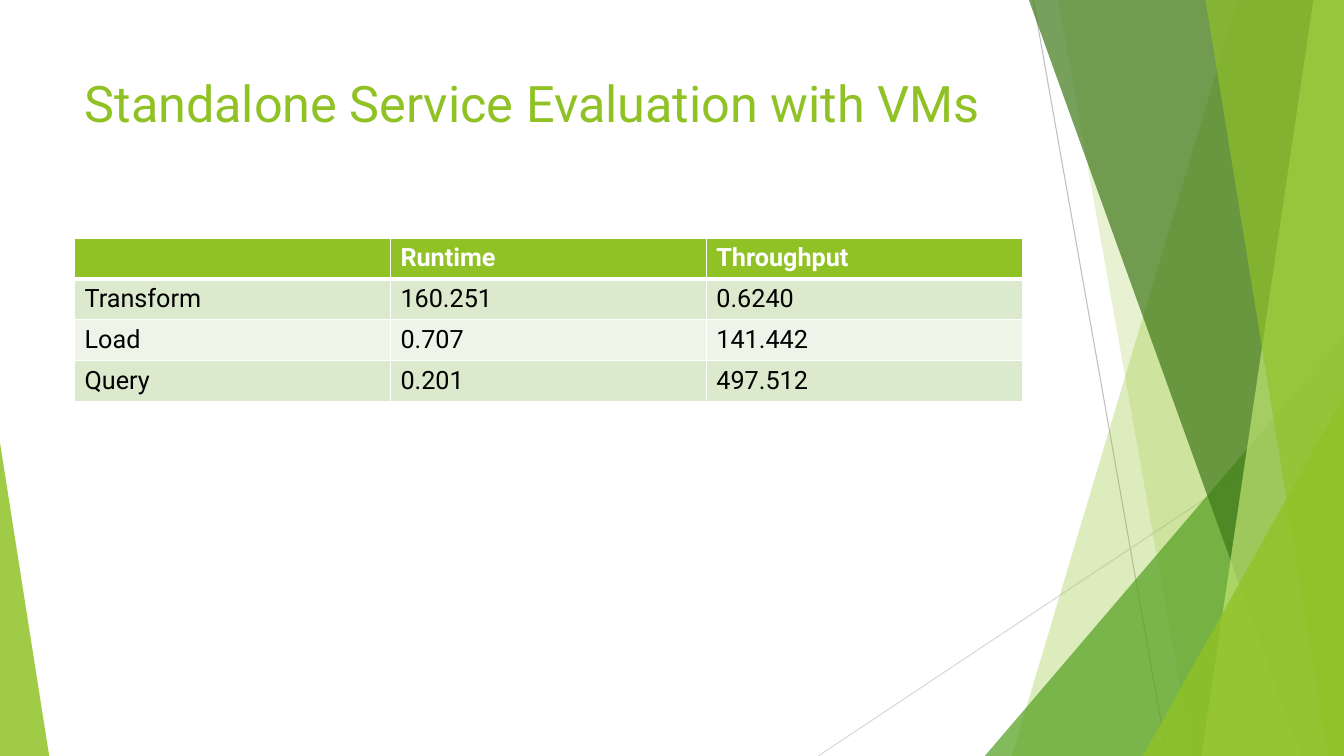
from lxml import etree
from pptx import Presentation
from pptx.dml.color import RGBColor
from pptx.enum.shapes import MSO_CONNECTOR, MSO_SHAPE
from pptx.enum.text import MSO_ANCHOR, PP_ALIGN
from pptx.oxml.ns import qn
from pptx.util import Cm, Pt

LINE = MSO_CONNECTOR.STRAIGHT
WEDGE = MSO_SHAPE.ISOSCELES_TRIANGLE
TOP = MSO_ANCHOR.TOP
LEFT = PP_ALIGN.LEFT
FONT = "Roboto"
WIDE, HIGH = 33.87, 19.05
HUES = {
    "lime": "90C226",
    "green": "54A021",
    "dark": "3F7819",
    "pale": "C0E474",
    "gray": "BFBFBF",
    "mist": "D9D9D9",
    "odd": "DBE9CD",
    "even": "EEF4E8",
    "white": "FFFFFF",
    "black": "000000",
}
DATA = [
    ["", "Runtime", "Throughput"],
    ["Transform", "160.251", "0.6240"],
    ["Load", "0.707", "141.442"],
    ["Query", "0.201", "497.512"],
]


def tint(name):
    """Return the named colour."""
    return RGBColor.from_string(HUES[name])


def paint(shape, hue, alpha):
    """Fill a shape with a see-through colour and no outline."""
    shape.shadow.inherit = False
    shape.line.fill.background()
    shape.fill.solid()
    shape.fill.fore_color.rgb = tint(hue)
    color = shape.fill._xPr.find(qn("a:solidFill"))[0]
    etree.SubElement(color, qn("a:alpha"), val=str(alpha * 1000))


def add_line(slide, start, end, hue):
    """Draw a thin straight line."""
    line = slide.shapes.add_connector(LINE, *map(Cm, start + end))
    line.line.color.rgb = tint(hue)
    line.line.width = Pt(0.75)
    etree.SubElement(line._element.spPr, qn("a:effectLst"))


def add_band(slide, top, base, hue, alpha):
    """Draw a full-height band from a slanted edge to the right side."""
    pen = slide.shapes.build_freeform(Cm(top), 0)
    rest = [(WIDE, 0), (WIDE, HIGH), (base, HIGH)]
    pen.add_line_segments([(Cm(x), Cm(y)) for x, y in rest], close=True)
    paint(pen.convert_to_shape(), hue, alpha)


def add_wedge(slide, left, top, width, apex, hue, alpha):
    """Draw a right triangle that stands on the bottom edge."""
    box = map(Cm, (left, top, width, HIGH - top))
    shape = slide.shapes.add_shape(WEDGE, *box)
    shape.adjustments[0] = apex
    paint(shape, hue, alpha)


def add_run(para, text, size, hue, bold=False):
    """Add one formatted run."""
    run = para.add_run()
    run.text = text
    font = run.font
    font.name, font.size, font.bold = FONT, Pt(size), bold
    font.color.rgb = tint(hue)


def set_title(slide, text):
    """Place and fill the title."""
    title = slide.shapes.title
    title.left, title.top = Cm(1.88), Cm(1.7)
    title.width, title.height = Cm(23.88), Cm(3.66)
    frame = title.text_frame
    frame.vertical_anchor = TOP
    para = frame.paragraphs[0]
    para.alignment = LEFT
    add_run(para, text, 36, "lime")


def set_edges(cell, row):
    """Give a cell white borders, thick below the header."""
    props = cell._tc.get_or_add_tcPr()
    sizes = {"L": 1, "R": 1, "T": 3 if row == 1 else 1, "B": 3 if row == 0 else 1}
    for spot, (side, size) in enumerate(sizes.items()):
        edge = etree.Element(qn(f"a:ln{side}"), w=str(Pt(size)))
        fill = etree.SubElement(edge, qn("a:solidFill"))
        etree.SubElement(fill, qn("a:srgbClr"), val=HUES["white"])
        props.insert(spot, edge)


def add_grid(slide, data):
    """Add the table of results."""
    box = map(Cm, (1.88, 6, 23.88, 4.12))
    table = slide.shapes.add_table(len(data), len(data[0]), *box).table
    for row, texts in enumerate(data):
        head = row == 0
        hue = "lime" if head else ("odd" if row % 2 else "even")
        for col, text in enumerate(texts):
            cell = table.cell(row, col)
            cell.fill.solid()
            cell.fill.fore_color.rgb = tint(hue)
            set_edges(cell, row)
            if text:
                ink = "white" if head else "black"
                add_run(cell.text_frame.paragraphs[0], text, 18, ink, head)


def add_decor(slide):
    """Draw the lines, bands and wedges at the slide's edges."""
    add_line(slide, (26.04, 0), (29.41, HIGH), "gray")
    add_line(slide, (WIDE, 10.24), (20.62, HIGH), "mist")
    add_band(slide, 31.19, 25.5, "lime", 30)
    add_band(slide, 26.67, 30.05, "lime", 20)
    add_wedge(slide, 24.82, 8.46, 9.05, 1, "green", 72)
    add_band(slide, 25.93, 32.79, "dark", 70)
    add_band(slide, 33.1, 30.28, "pale", 70)
    add_band(slide, 30.38, 33.48, "lime", 65)
    add_wedge(slide, 28.8, 9.98, 5.07, 1, "lime", 80)
    add_wedge(slide, 0, 11.15, 1.24, 0, "lime", 85)


def main():
    """Build and save the slide."""
    deck = Presentation()
    deck.slide_width, deck.slide_height = Cm(WIDE), Cm(HIGH)
    slide = deck.slides.add_slide(deck.slide_layouts[5])
    add_decor(slide)
    set_title(slide, "Standalone Service Evaluation with VMs")
    add_grid(slide, DATA)
    deck.save("out.pptx")


if __name__ == "__main__":
    main()
